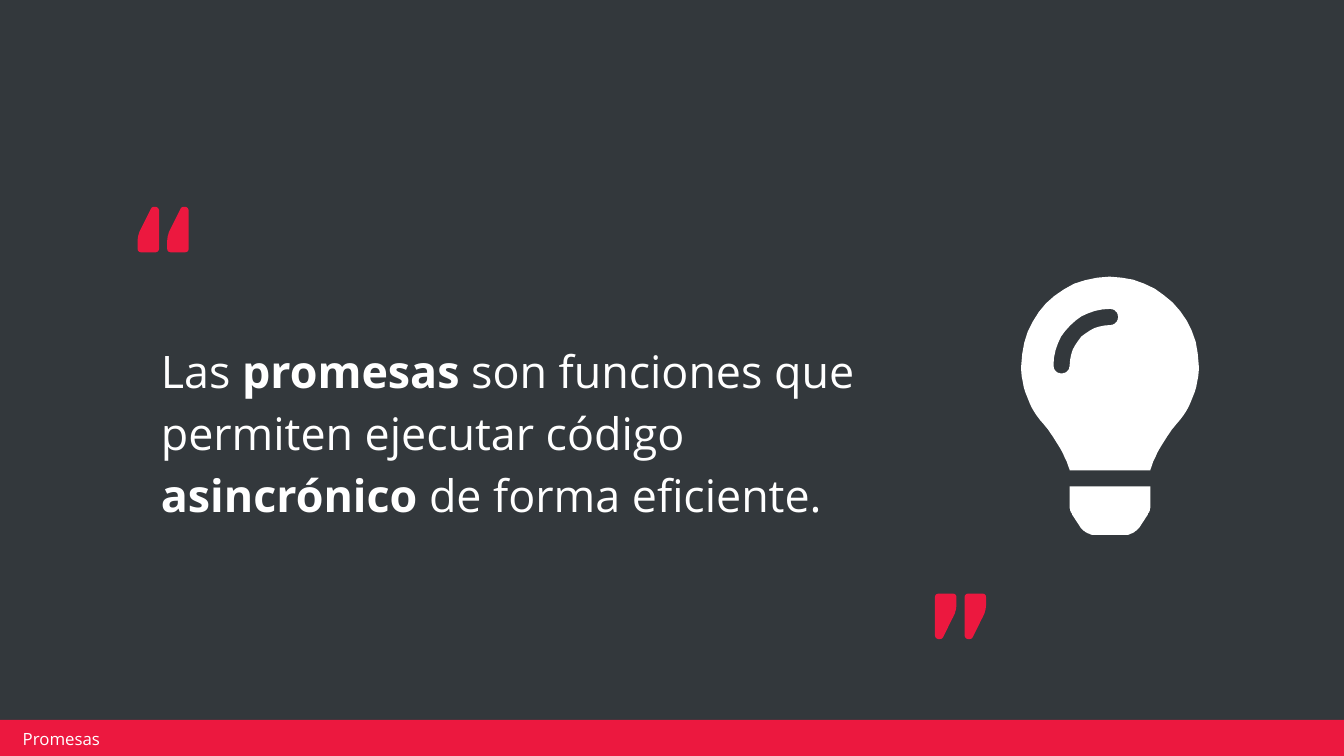
from dataclasses import dataclass

from pptx import Presentation
from pptx import util as u
from pptx.dml.color import RGBColor
from pptx.enum import shapes, text

COLORS = {"background": "33383C", "accent": "EC183F", "light": "FFFFFF"}
FONT = "Open Sans"
CURVE_STEPS = 12


@dataclass(frozen=True)
class Outline:
    height: float
    contours: tuple


@dataclass(frozen=True)
class Quote:
    left: float
    top: float
    rotation: int


BULB = Outline(512, (
    ((96, 454.4),
     ((96, 460.6, 97.9, 466.8, 101.4, 472), (118.5, 497.7),
      (124.4, 506.6, 134.4, 512, 145.2, 512), (206.9, 512),
      (217.6, 512, 227.6, 506.6, 233.5, 497.7), (250.6, 472),
      (254.1, 466.8, 256, 460.6, 256, 454.4), (256, 416), (96, 416))),
    ((0, 176),
     ((0, 220.4, 16.5, 260.9, 43.6, 291.8),
      (60.1, 310.6, 85.9, 350, 95.8, 383.2), (95.9, 384), (256.1, 384),
      (256.2, 383.2), (266.1, 350, 291.9, 310.6, 308.4, 291.8),
      (335.5, 260.9, 352, 220.4, 352, 176),
      (352, 78.6, 272.9, 0, 175.4, 0), (73.4, 0, 0, 83, 0, 176))),
    ((176, 96),
     ((131.9, 96, 96, 131.9, 96, 176), (96, 184.8, 88.8, 192, 80, 192),
      (71.2, 192, 64, 184.8, 64, 176), (64, 114.2, 114.2, 64, 176, 64),
      (184.8, 64, 192, 71.2, 192, 80), (192, 88.8, 184.8, 96, 176, 96))),
))
QUOTE_MARK = Outline(340, (
    ((130, 0),
     ((115, 0, 106, 4, 100, 14), (30, 155), (10, 190, 0, 225, 0, 262),
      (0, 310), (0, 330, 10, 340, 30, 340), (130, 340),
      (150, 340, 160, 330, 160, 312), (160, 30),
      (160, 12, 148, 0, 130, 0))),
))
QUOTES = (Quote(2.6, 3.91, 0), Quote(17.67, 11.22, 180))
QUOTE_MARK_HEIGHT = 0.86
QUOTE_MARK_PITCH = 0.56

STATEMENT = (
    ("Las ", False),
    ("promesas ", True),
    ("son funciones que permiten ejecutar código ", False),
    ("asincrónico ", True),
    ("de forma eficiente.", False),
)


def rgb(name: str) -> RGBColor:
    return RGBColor.from_string(COLORS[name])


def paint(shape, color: str) -> None:
    shape.shadow.inherit = False
    shape.fill.solid()
    shape.fill.fore_color.rgb = rgb(color)
    shape.line.fill.background()


def style(span, size: float, bold: bool = False) -> None:
    span.font.name = FONT
    span.font.size = u.Pt(size)
    span.font.bold = bold
    span.font.color.rgb = rgb("light")


def place(shape, left: float, top: float, width: float, height: float) -> None:
    shape.left, shape.top = u.Cm(left), u.Cm(top)
    shape.width, shape.height = u.Cm(width), u.Cm(height)


def set_frame(frame, side: float, end: float) -> None:
    frame.word_wrap = True
    frame.auto_size = text.MSO_AUTO_SIZE.NONE
    frame.vertical_anchor = text.MSO_ANCHOR.MIDDLE
    frame.margin_left = frame.margin_right = u.Cm(side)
    frame.margin_top = frame.margin_bottom = u.Cm(end)


def flatten(start: tuple, segments: tuple) -> list:
    points = [start]
    for segment in segments:
        if len(segment) == 2:
            points.append(segment)
            continue
        x0, y0 = points[-1]
        x1, y1, x2, y2, x3, y3 = segment
        for step in range(1, CURVE_STEPS + 1):
            t = step / CURVE_STEPS
            a, b, c, d = (1 - t) ** 3, 3 * t * (1 - t) ** 2, 3 * t * t * (1 - t), t ** 3
            points.append((a * x0 + b * x1 + c * x2 + d * x3,
                           a * y0 + b * y1 + c * y2 + d * y3))
    return points[1:]


def draw_outline(target, outline: Outline, left: float, top: float,
                 height: float, color: str):
    scale = u.Cm(height) / outline.height
    builder = None
    for start, segments in outline.contours:
        if builder is None:
            builder = target.build_freeform(*start, scale=scale)
        else:
            builder.move_to(*start)
        builder.add_line_segments(flatten(start, segments), close=True)
    shape = builder.convert_to_shape(u.Cm(left), u.Cm(top))
    paint(shape, color)
    return shape


def draw_quote(page, quote: Quote) -> None:
    group = page.shapes.add_group_shape()
    for index in range(2):
        mark = draw_outline(group.shapes, QUOTE_MARK,
                            quote.left + index * QUOTE_MARK_PITCH, quote.top,
                            QUOTE_MARK_HEIGHT, "accent")
        mark.rotation = quote.rotation


def draw_statement(page) -> None:
    box = page.shapes.title
    place(box, 2.79, 5.28, 15.37, 5.64)
    set_frame(box.text_frame, 0.25, 0.13)
    para = box.text_frame.paragraphs[0]
    para.alignment = text.PP_ALIGN.LEFT
    para.line_spacing = 1.15
    for wording, bold in STATEMENT:
        span = para.add_run()
        span.text = wording
        style(span, 24, bold)


def draw_footer(page) -> None:
    bar = page.shapes.add_shape(shapes.MSO_SHAPE.RECTANGLE, u.Cm(-0.05),
                                u.Cm(13.61), u.Cm(25.48), u.Cm(0.69))
    paint(bar, "accent")
    box = page.shapes.add_textbox(u.Cm(0.3), u.Cm(13.77), u.Cm(6.07), u.Cm(0.38))
    set_frame(box.text_frame, 0.13, 0.05)
    box.text_frame.text = "Promesas"
    style(box.text_frame.paragraphs[0].runs[0], 9)


def main() -> None:
    deck = Presentation()
    deck.slide_width, deck.slide_height = u.Cm(25.4), u.Cm(14.29)
    page = deck.slides.add_slide(deck.slide_layouts.get_by_name("Title Only"))
    page.background.fill.solid()
    page.background.fill.fore_color.rgb = rgb("background")
    draw_footer(page)
    draw_statement(page)
    draw_outline(page.shapes, BULB, 19.3, 5.23, 4.88, "light")
    for quote in QUOTES:
        draw_quote(page, quote)
    deck.save("out.pptx")


if __name__ == "__main__":
    main()
